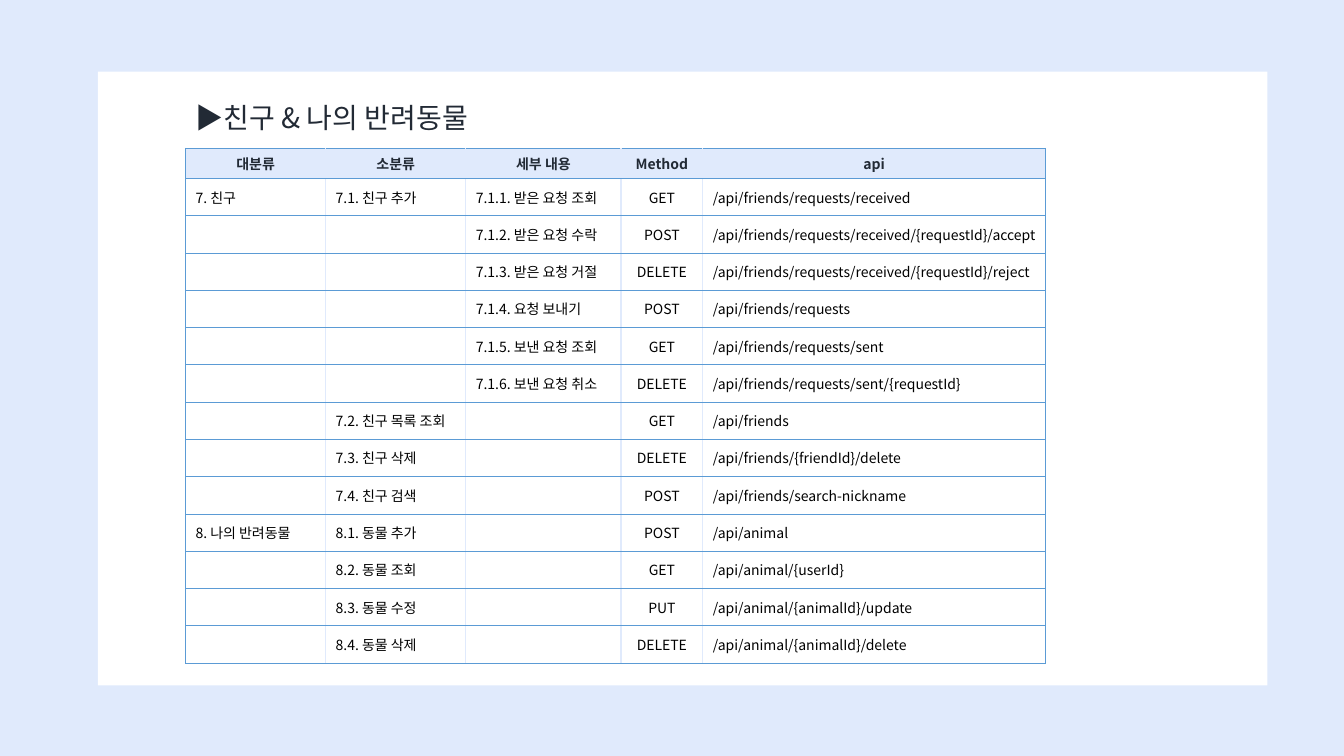
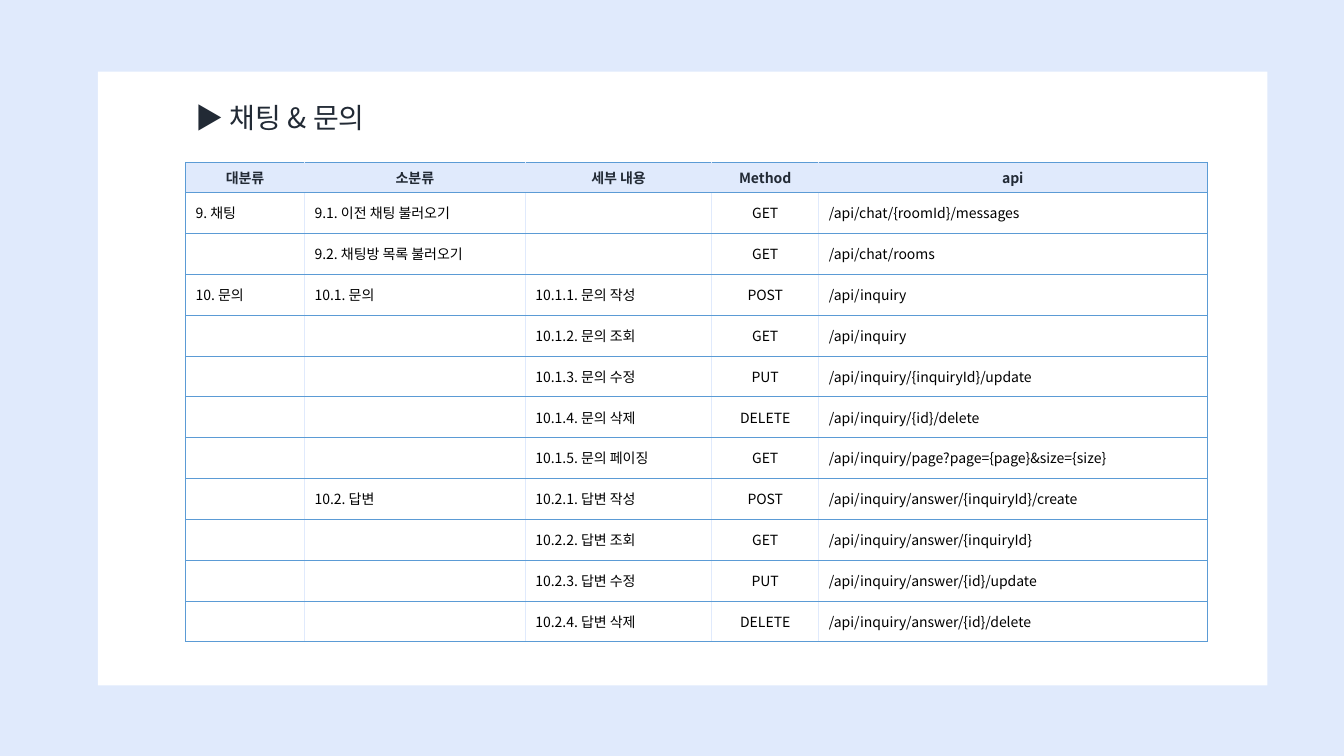
from lxml import etree
from pptx import Presentation
from pptx.dml.color import RGBColor
from pptx.enum.shapes import MSO_SHAPE
from pptx.enum.text import MSO_ANCHOR, MSO_AUTO_SIZE, PP_ALIGN
from pptx.oxml.ns import qn
from pptx.util import Emu, Pt

RECT = MSO_SHAPE.RECTANGLE
MIDDLE = MSO_ANCHOR.MIDDLE
FIT_SHAPE = MSO_AUTO_SIZE.SHAPE_TO_FIT_TEXT
LEFT, CENTER = PP_ALIGN.LEFT, PP_ALIGN.CENTER

EMU_PER_PX = 9144
FONT = "Noto Sans CJK KR"
PALE, BLUE, WHITE, INK, BLACK = "E0EAFC", "5B9BD5", "FFFFFF", "222A35", "000000"
CONTENT_LEFT = 184
TITLE_SIZE, TABLE_SIZE = 20, 10
HEADER = ("대분류", "소분류", "세부 내용", "Method", "api")
METHOD_COL = HEADER.index("Method")

FRIEND_ROWS = [
    ("7. 친구", "7.1. 친구 추가", "7.1.1. 받은 요청 조회", "GET", "/api/friends/requests/received"),
    ("", "", "7.1.2. 받은 요청 수락", "POST", "/api/friends/requests/received/{requestId}/accept"),
    ("", "", "7.1.3. 받은 요청 거절", "DELETE", "/api/friends/requests/received/{requestId}/reject"),
    ("", "", "7.1.4. 요청 보내기", "POST", "/api/friends/requests"),
    ("", "", "7.1.5. 보낸 요청 조회", "GET", "/api/friends/requests/sent"),
    ("", "", "7.1.6. 보낸 요청 취소", "DELETE", "/api/friends/requests/sent/{requestId}"),
    ("", "7.2. 친구 목록 조회", "", "GET", "/api/friends"),
    ("", "7.3. 친구 삭제", "", "DELETE", "/api/friends/{friendId}/delete"),
    ("", "7.4. 친구 검색", "", "POST", "/api/friends/search-nickname"),
    ("8. 나의 반려동물", "8.1. 동물 추가", "", "POST", "/api/animal"),
    ("", "8.2. 동물 조회", "", "GET", "/api/animal/{userId}"),
    ("", "8.3. 동물 수정", "", "PUT", "/api/animal/{animalId}/update"),
    ("", "8.4. 동물 삭제", "", "DELETE", "/api/animal/{animalId}/delete"),
]

CHAT_ROWS = [
    ("9. 채팅", "9.1. 이전 채팅 불러오기", "", "GET", "/api/chat/{roomId}/messages"),
    ("", "9.2. 채팅방 목록 불러오기", "", "GET", "/api/chat/rooms"),
    ("10. 문의", "10.1. 문의", "10.1.1. 문의 작성", "POST", "/api/inquiry"),
    ("", "", "10.1.2. 문의 조회", "GET", "/api/inquiry"),
    ("", "", "10.1.3. 문의 수정", "PUT", "/api/inquiry/{inquiryId}/update"),
    ("", "", "10.1.4. 문의 삭제", "DELETE", "/api/inquiry/{id}/delete"),
    ("", "", "10.1.5. 문의 페이징", "GET", "/api/inquiry/page?page={page}&size={size}"),
    ("", "10.2. 답변", "10.2.1. 답변 작성", "POST", "/api/inquiry/answer/{inquiryId}/create"),
    ("", "", "10.2.2. 답변 조회", "GET", "/api/inquiry/answer/{inquiryId}"),
    ("", "", "10.2.3. 답변 수정", "PUT", "/api/inquiry/answer/{id}/update"),
    ("", "", "10.2.4. 답변 삭제", "DELETE", "/api/inquiry/answer/{id}/delete"),
]


def px(n):
    return Emu(n * EMU_PER_PX)


def rgb(color):
    return RGBColor.from_string(color)


def write(tf, text, size=TABLE_SIZE, color=BLACK, bold=False, align=LEFT):
    p = tf.paragraphs[0]
    p.alignment = align
    if not text:
        etree.SubElement(p._p, qn("a:endParaRPr"), sz=str(size * 100))
        return
    r = p.add_run()
    r.text = text
    r.font.name = FONT
    r.font.size = Pt(size)
    r.font.bold = bold
    r.font.color.rgb = rgb(color)
    etree.SubElement(r._r.get_or_add_rPr(), qn("a:ea"), typeface=FONT)


def add_border(cell, side, color, width):
    ln = etree.SubElement(cell._tc.get_or_add_tcPr(), qn(f"a:ln{side}"), w=str(Pt(width)))
    fill = etree.SubElement(ln, qn("a:solidFill"))
    etree.SubElement(fill, qn("a:srgbClr"), val=color)


def format_cell(cell, text, row, col):
    is_header = row == 0
    cell.vertical_anchor = MIDDLE
    outer, inner = (BLUE, 0.5), (PALE, 1)
    add_border(cell, "L", *(outer if col == 0 else inner))
    add_border(cell, "R", *(outer if col == len(HEADER) - 1 else inner))
    add_border(cell, "T", *outer)
    add_border(cell, "B", *outer)
    if is_header:
        cell.fill.solid()
        cell.fill.fore_color.rgb = rgb(PALE)
    else:
        cell.fill.background()
    write(cell.text_frame, text, color=INK if is_header else BLACK, bold=is_header,
          align=CENTER if is_header or col == METHOD_COL else LEFT)


def add_api_table(slide, rows, top, widths, header_height, body_height):
    table = slide.shapes.add_table(
        len(rows) + 1, len(HEADER), px(CONTENT_LEFT), px(top),
        px(sum(widths)), px(header_height + body_height)).table
    table.first_row = False
    table.horz_banding = False
    for column, width in zip(table.columns, widths):
        column.width = px(width)
    for i, values in enumerate([HEADER, *rows]):
        table.rows[i].height = px(header_height) if i == 0 else Emu(px(body_height) // len(rows))
        for j, text in enumerate(values):
            format_cell(table.cell(i, j), text, i, j)


def add_panel(slide):
    sp = slide.shapes.add_shape(RECT, px(97), px(71), px(1160), px(609))
    sp.shadow.inherit = False
    sp.fill.solid()
    sp.fill.fore_color.rgb = rgb(WHITE)
    sp.line.fill.background()


def add_title(slide, text, width):
    tf = slide.shapes.add_textbox(px(CONTENT_LEFT), px(95), px(width), px(44)).text_frame
    tf.word_wrap = False
    tf.auto_size = FIT_SHAPE
    write(tf, text, size=TITLE_SIZE, color=INK)


def add_api_slide(prs, title, title_width, rows, **layout):
    slide = prs.slides.add_slide(prs.slide_layouts[6])
    add_panel(slide)
    add_api_table(slide, rows, **layout)
    add_title(slide, title, title_width)


def main():
    prs = Presentation()
    prs.slide_width, prs.slide_height = px(1333), px(750)
    background = prs.slide_master.background.fill
    background.solid()
    background.fore_color.rgb = rgb(PALE)
    add_api_slide(prs, "▶친구 & 나의 반려동물", 325, FRIEND_ROWS, top=147,
                  widths=(139, 139, 154, 81, 340), header_height=30, body_height=481)
    add_api_slide(prs, "▶ 채팅 & 문의", 213, CHAT_ROWS, top=161,
                  widths=(118, 219, 185, 106, 385), header_height=30, body_height=446)
    prs.save("out.pptx")


if __name__ == "__main__":
    main()
